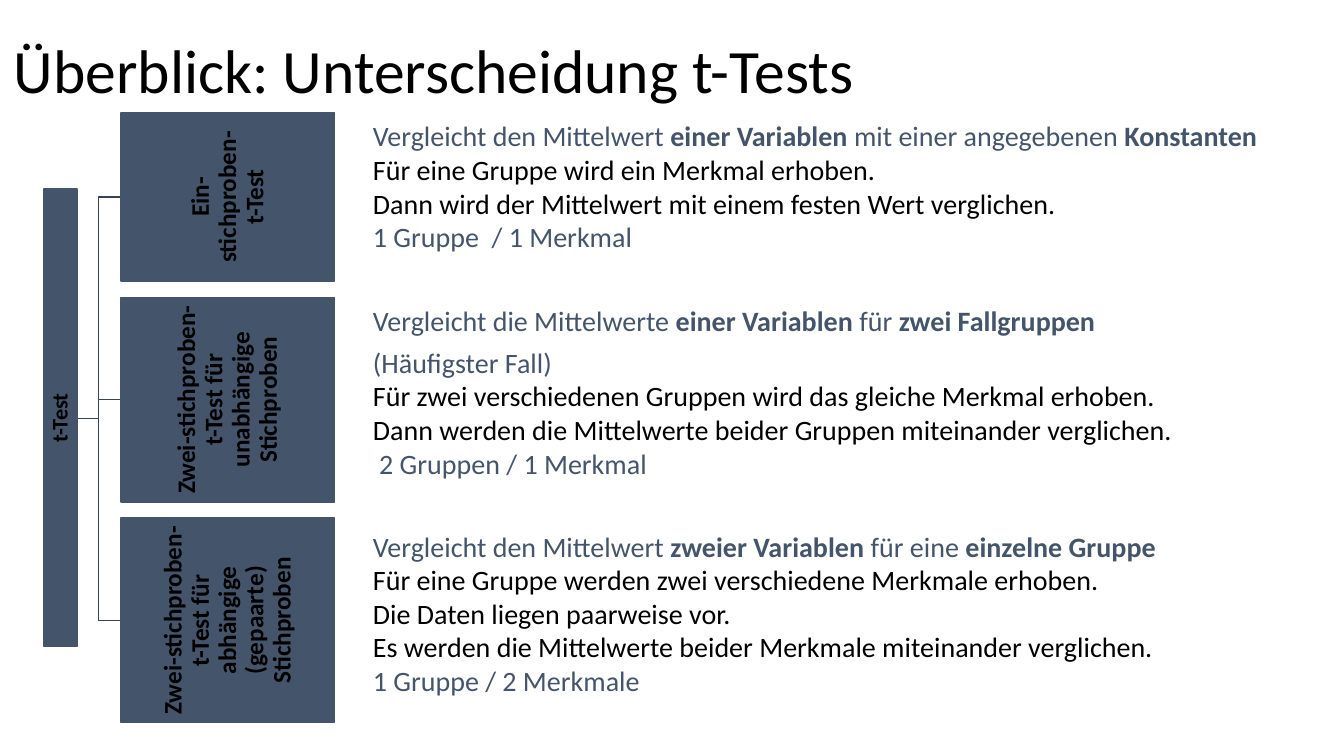
"""Build the overview slide that tells the three kinds of t-test apart."""
from dataclasses import dataclass

from pptx import Presentation
from pptx import util as u
from pptx.dml.color import RGBColor
from pptx.enum import shapes, text
from pptx.oxml.ns import qn

COLORS = {"slate": "44546A", "branch": "364355", "black": "000000", "white": "FFFFFF"}
FONT = "Calibri"
BAR_MARGIN = 0.01
BOX_LEFT, BOX_WIDTH = 1.2, 2.12
NOTE_LEFT, NOTE_WIDTH = 3.6, 9.28
ROOT_EDGE, BRANCH_LEFT, ROOT_MIDDLE = 0.77, 0.98, 4.15


@dataclass(frozen=True)
class Span:
    """A stretch of text in one format; line feeds become line breaks."""

    words: str
    bold: bool = False
    color: str = "slate"


@dataclass(frozen=True)
class Variant:
    """One kind of t-test: its box and its description."""

    label: str
    top: float
    height: float
    note_top: float
    note_height: float
    note: list[list[Span]]

    @property
    def middle(self) -> float:
        return self.top + self.height / 2


VARIANTS = [
    Variant("Ein-stichproben-\nt-Test", 1.12, 1.67, 1.13, 1.45, [[
        Span("Vergleicht den Mittelwert "),
        Span("einer Variablen ", bold=True),
        Span("mit einer angegebenen "),
        Span("Konstanten\n", bold=True),
        Span("Für eine Gruppe wird ein Merkmal erhoben.\n"
             "Dann wird der Mittelwert mit einem festen Wert verglichen.\n", color="black"),
        Span("1 Gruppe  / 1 Merkmal"),
    ]]),
    Variant("Zwei-stichproben-\nt-Test für unabhängige Stichproben", 2.95, 2.03, 2.96, 1.87, [[
        Span("Vergleicht die Mittelwerte "),
        Span("einer Variablen", bold=True),
        Span(" für "),
        Span("zwei Fallgruppen", bold=True),
    ], [
        Span("(Häufigster Fall)\n"),
        Span("Für zwei verschiedenen Gruppen wird das gleiche Merkmal erhoben.\n"
             "Dann werden die Mittelwerte beider Gruppen miteinander verglichen.\n",
             color="black"),
        Span(" 2 Gruppen / 1 Merkmal"),
    ]]),
    Variant("Zwei-stichproben-\nt-Test für abhängige (gepaarte) Stichproben", 5.14, 2.03, 5.2, 1.78, [[
        Span("Vergleicht den Mittelwert "),
        Span("zweier Variablen ", bold=True),
        Span("für eine "),
        Span("einzelne Gruppe\n", bold=True),
        Span("Für eine Gruppe werden zwei verschiedene Merkmale erhoben.\n"
             "Die Daten liegen paarweise vor.\n"
             "Es werden die Mittelwerte beider Merkmale miteinander verglichen.\n",
             color="black"),
        Span("1 Gruppe / 2 Merkmale"),
    ]]),
]


def rgb(name: str) -> RGBColor:
    return RGBColor.from_string(COLORS[name])


def write(box, paragraphs: list[list[Span]], *, size: float, align=text.PP_ALIGN.LEFT,
          anchor=text.MSO_ANCHOR.MIDDLE, line_spacing: float = 1.0,
          space_after: float = 0) -> None:
    frame = box.text_frame
    frame.word_wrap = True
    frame.vertical_anchor = anchor
    for index, spans in enumerate(paragraphs):
        para = frame.add_paragraph() if index else frame.paragraphs[0]
        para.alignment = align
        para.line_spacing = line_spacing
        para.space_after = u.Pt(space_after)
        para.font.size = u.Pt(size)
        for span in spans:
            for number, line in enumerate(span.words.split("\n")):
                if number:
                    para.add_line_break()
                if line:
                    run = para.add_run()
                    run.text = line
                    run.font.name = FONT
                    run.font.size = u.Pt(size)
                    run.font.bold = span.bold
                    run.font.color.rgb = rgb(span.color)


def add_box(page, left: float, top: float, width: float, height: float, fill: str):
    box = page.shapes.add_shape(shapes.MSO_SHAPE.RECTANGLE, u.Inches(left), u.Inches(top),
                                u.Inches(width), u.Inches(height))
    box.shadow.inherit = False
    box.fill.solid()
    box.fill.fore_color.rgb = rgb(fill)
    box.line.fill.background()
    return box


def add_bar(page, label: str, left: float, top: float, width: float, height: float,
            size: float):
    bar = add_box(page, left, top, width, height, "slate")
    bar.line.color.rgb = rgb("slate")
    bar.line.width = u.Pt(1)
    frame = bar.text_frame
    frame.margin_left = frame.margin_right = u.Inches(BAR_MARGIN)
    frame.margin_top = frame.margin_bottom = u.Inches(BAR_MARGIN)
    write(bar, [[Span(label, bold=True, color="black")]], size=size,
          align=text.PP_ALIGN.CENTER, line_spacing=0.9)
    return bar


def add_branch(page, target: float) -> None:
    builder = page.shapes.build_freeform(u.Inches(ROOT_EDGE), u.Inches(ROOT_MIDDLE))
    corners = [(BRANCH_LEFT, ROOT_MIDDLE), (BRANCH_LEFT, target), (BOX_LEFT, target)]
    builder.add_line_segments([(u.Inches(x), u.Inches(y)) for x, y in corners], close=False)
    branch = builder.convert_to_shape()
    branch.shadow.inherit = False
    branch.fill.background()
    branch.line.color.rgb = rgb("branch")
    branch.line.width = u.Pt(1)


def add_variant(page, variant: Variant) -> None:
    bar = add_bar(page, variant.label, BOX_LEFT, variant.top, BOX_WIDTH, variant.height, 18)
    bar.element.txBody.find(qn("a:bodyPr")).set("vert", "vert270")
    note = add_box(page, NOTE_LEFT, variant.note_top, NOTE_WIDTH, variant.note_height, "white")
    write(note, variant.note, size=20, anchor=text.MSO_ANCHOR.TOP, space_after=6)
    note.text_frame.auto_size = text.MSO_AUTO_SIZE.SHAPE_TO_FIT_TEXT


def main() -> None:
    deck = Presentation()
    deck.slide_width, deck.slide_height = u.Inches(13.33), u.Inches(7.5)
    page = deck.slides.add_slide(deck.slide_layouts[6])
    title = page.shapes.add_textbox(u.Inches(0.04), u.Inches(0), u.Inches(11.5), u.Inches(1.45))
    write(title, [[Span("Überblick: Unterscheidung t-Tests", color="black")]], size=44,
          line_spacing=0.9)
    for variant in VARIANTS:
        add_branch(page, variant.middle)
    root = add_bar(page, "t-Test", -1.67, 3.98, 4.54, 0.33, 16)
    root.rotation = 270
    for variant in VARIANTS:
        add_variant(page, variant)
    deck.save("out.pptx")


if __name__ == "__main__":
    main()
